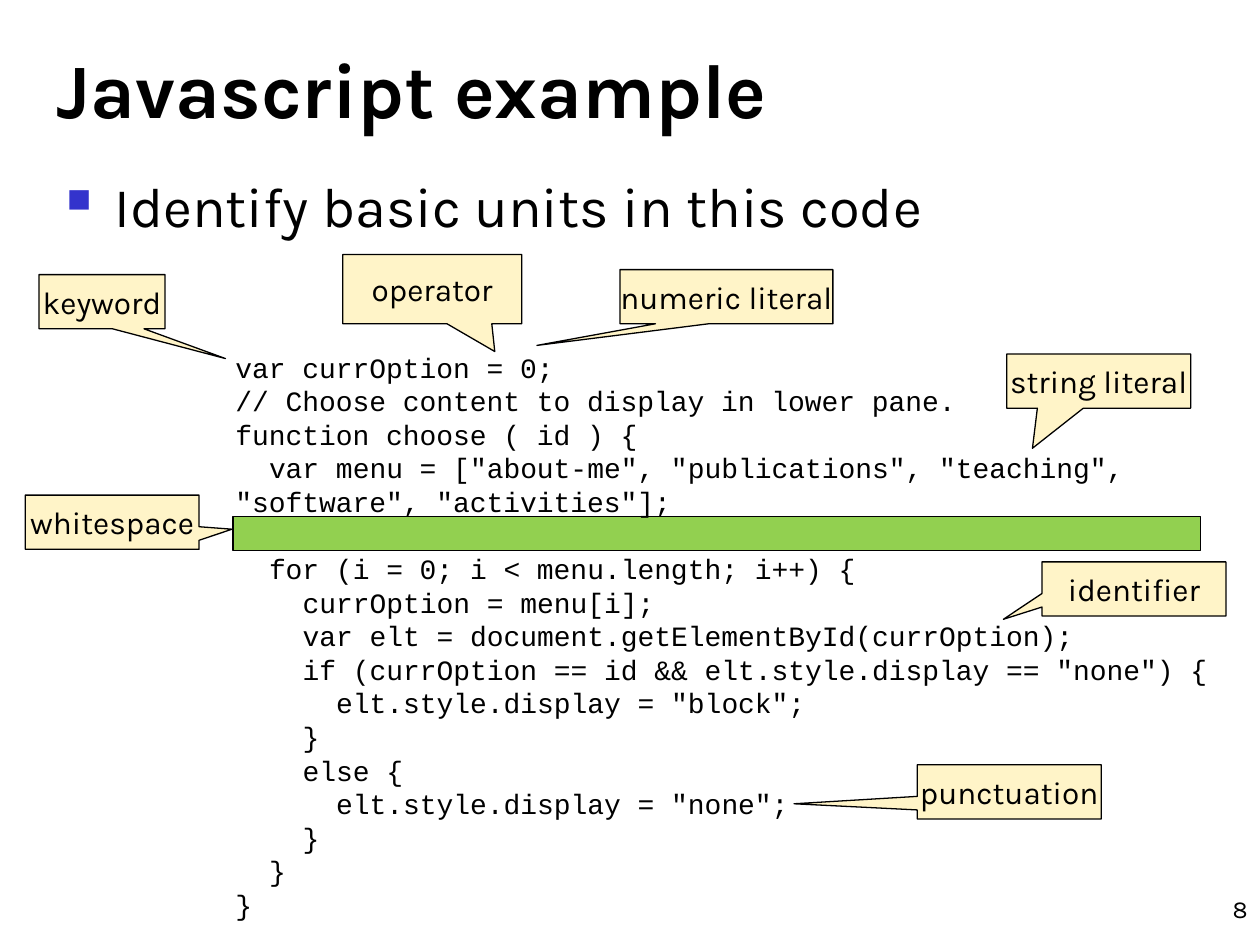
from dataclasses import dataclass

import pptx
import pptx.dml.color
import pptx.enum.shapes
import pptx.enum.text
import pptx.oxml
import pptx.oxml.ns
import pptx.util
from lxml import etree

Inches = pptx.util.Inches
Pt = pptx.util.Pt
Align = pptx.enum.text.PP_ALIGN
Anchor = pptx.enum.text.MSO_ANCHOR
Shape = pptx.enum.shapes.MSO_SHAPE

SANS, MONO = "Karla", "Courier New"
BLACK, CREAM, GREEN, BLUE = "000000", "FFF4C8", "92D050", "3333CC"
CODE_SIZE = 16
CODE_LINE = 19.2
CHAR_WIDTH = 0.6 * CODE_SIZE


@dataclass
class Box:
    left: float
    top: float
    width: float
    height: float

    def lengths(self) -> list:
        return [Inches(v) for v in (self.left, self.top, self.width, self.height)]


@dataclass
class Callout:
    label: str
    box: Box
    tip: tuple[float, float]


@dataclass
class CodeLine:
    depth: int
    text: str
    blank_before: int = 0


CALLOUTS = [
    Callout("keyword", Box(0.31, 2.18, 1, 0.43), (0.98, 1.05)),
    Callout("numeric literal", Box(4.92, 2.14, 1.69, 0.43), (-0.89, 0.9)),
    Callout("operator", Box(2.72, 2.02, 1.42, 0.55), (0.35, 0.9)),
    Callout("string literal", Box(7.99, 2.81, 1.46, 0.43), (-0.36, 1.24)),
    Callout("punctuation", Box(7.28, 6.07, 1.46, 0.43), (-1.17, 0.22)),
    Callout("identifier", Box(8.27, 4.46, 1.46, 0.43), (-0.71, 0.56)),
    Callout("whitespace", Box(0.2, 3.93, 1.38, 0.43), (0.69, 0.13)),
]

CODE = [
    CodeLine(0, "var currOption = 0;"),
    CodeLine(0, "// Choose content to display in lower pane."),
    CodeLine(0, "function choose ( id ) {"),
    CodeLine(1, 'var menu = ["about-me", "publications", "teaching", "software", "activities"];'),
    CodeLine(1, "for (i = 0; i < menu.length; i++) {", blank_before=1),
    CodeLine(2, "currOption = menu[i];"),
    CodeLine(2, "var elt = document.getElementById(currOption);"),
    CodeLine(2, 'if (currOption == id && elt.style.display == "none") {'),
    CodeLine(3, 'elt.style.display = "block";'),
    CodeLine(2, "}"),
    CodeLine(2, "else {"),
    CodeLine(3, 'elt.style.display = "none";'),
    CodeLine(2, "}"),
    CodeLine(1, "}"),
    CodeLine(0, "}"),
]


def color(value: str) -> pptx.dml.color.RGBColor:
    return pptx.dml.color.RGBColor.from_string(value)


def set_text(p, text: str, size: float, name: str = SANS, bold: bool = False) -> None:
    p.text = text
    p.font.size = Pt(size)
    p.font.name = name
    p.font.bold = bold
    p.font.color.rgb = color(BLACK)


def add_text_box(slide, box: Box, anchor=Anchor.TOP):
    tf = slide.shapes.add_textbox(*box.lengths()).text_frame
    tf.word_wrap = True
    tf.vertical_anchor = anchor
    return tf


def add_filled_shape(slide, kind, box: Box, fill: str):
    sp = slide.shapes.add_shape(kind, *box.lengths())
    sp.shadow.inherit = False
    sp.fill.solid()
    sp.fill.fore_color.rgb = color(fill)
    sp.line.color.rgb = color(BLACK)
    sp.line.width = Pt(0.75)
    return sp


def set_indent(p, margin: int, first_line: int) -> None:
    pPr = p._p.get_or_add_pPr()
    pPr.set("marL", str(margin))
    pPr.set("indent", str(first_line))


def add_bullet(p, char: str, fill: str, percent: int) -> None:
    pPr = p._p.get_or_add_pPr()
    qn = pptx.oxml.ns.qn
    bu_clr = etree.Element(qn("a:buClr"))
    etree.SubElement(bu_clr, qn("a:srgbClr")).set("val", fill)
    bu_size = etree.Element(qn("a:buSzPct"), val=str(percent * 1000))
    bu_char = etree.Element(qn("a:buChar"), char=char)
    position = len(pPr.findall(qn("a:lnSpc")) + pPr.findall(qn("a:spcBef")))
    for offset, item in enumerate((bu_clr, bu_size, bu_char)):
        pPr.insert(position + offset, item)


def add_code(slide, box: Box, lines: list[CodeLine]) -> None:
    tf = add_text_box(slide, box)
    tf.auto_size = pptx.enum.text.MSO_AUTO_SIZE.SHAPE_TO_FIT_TEXT
    for i, line in enumerate(lines):
        p = tf.add_paragraph() if i else tf.paragraphs[0]
        set_text(p, line.text, CODE_SIZE, MONO)
        p.line_spacing = Pt(CODE_LINE)
        p.space_before = Pt(CODE_LINE * line.blank_before)
        set_indent(p, 0, Pt(2 * CHAR_WIDTH * line.depth))


def add_callout(slide, callout: Callout) -> None:
    sp = add_filled_shape(slide, Shape.RECTANGULAR_CALLOUT, callout.box, CREAM)
    sp.adjustments[0], sp.adjustments[1] = callout.tip
    tf = sp.text_frame
    tf.word_wrap = False
    tf.vertical_anchor = Anchor.MIDDLE
    p = tf.paragraphs[0]
    set_text(p, callout.label, 18)
    p.alignment = Align.CENTER


def main() -> None:
    prs = pptx.Presentation()
    prs.slide_width, prs.slide_height = Inches(10), Inches(7.5)
    slide = prs.slides.add_slide(prs.slide_layouts[6])

    add_filled_shape(slide, Shape.RECTANGLE, Box(1.85, 4.1, 7.68, 0.27), GREEN)

    title = add_text_box(slide, Box(0.35, 0.21, 9.33, 0.9), Anchor.BOTTOM)
    set_text(title.paragraphs[0], "Javascript example", 44, bold=True)

    p = add_text_box(slide, Box(0.43, 1.31, 9.14, 1.06)).paragraphs[0]
    set_text(p, "Identify basic units in this code", 32)
    p.space_before = Pt(6.4)
    set_indent(p, Inches(0.38), Inches(-0.38))
    add_bullet(p, "■", BLUE, 60)

    p = add_text_box(slide, Box(9.17, 7.14, 0.83, 0.24), Anchor.BOTTOM).paragraphs[0]
    set_text(p, "8", 14)
    p.alignment = Align.RIGHT

    add_code(slide, Box(1.77, 2.73, 7.99, 4.68), CODE)
    for callout in CALLOUTS:
        add_callout(slide, callout)

    prs.save("out.pptx")


if __name__ == "__main__":
    main()
